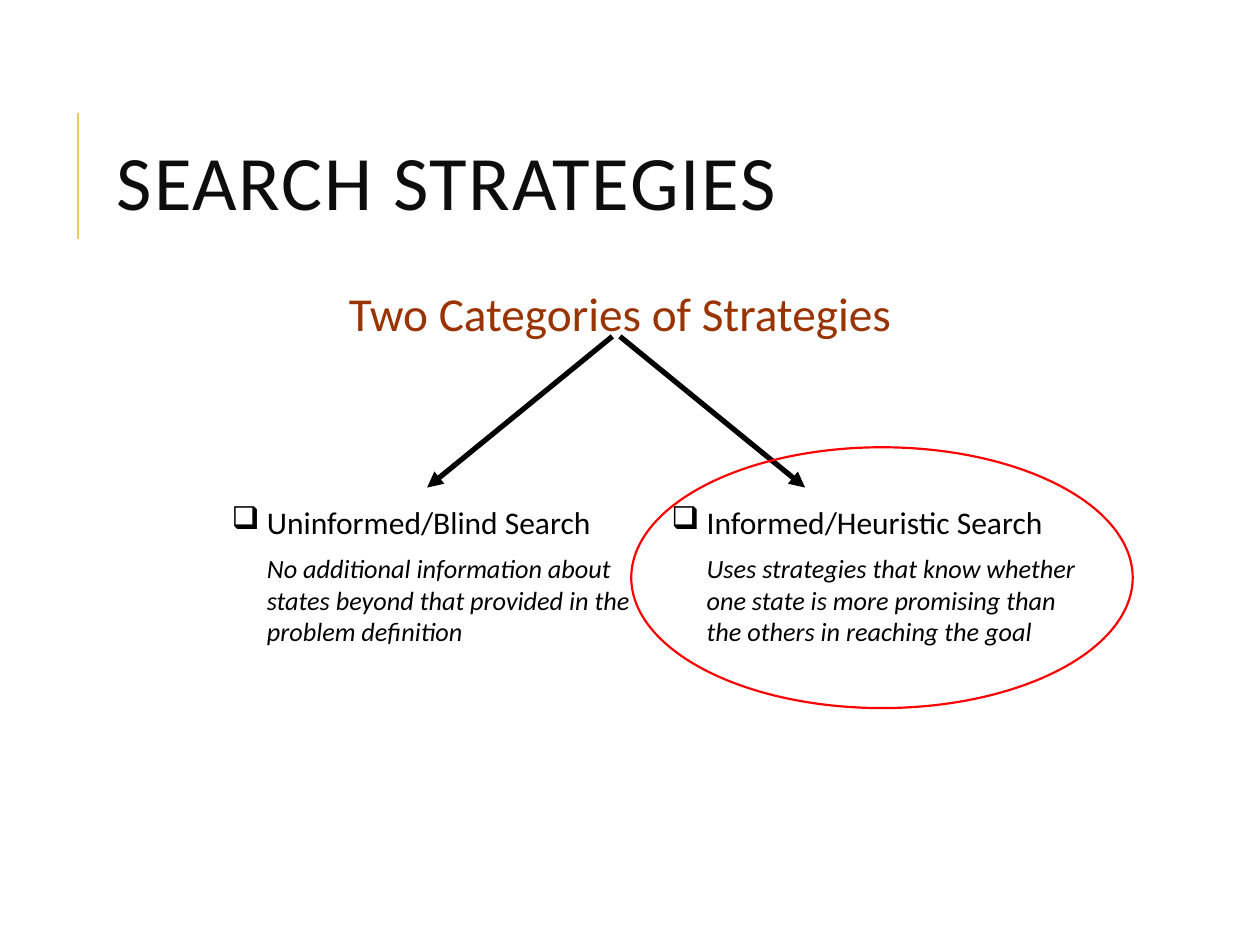
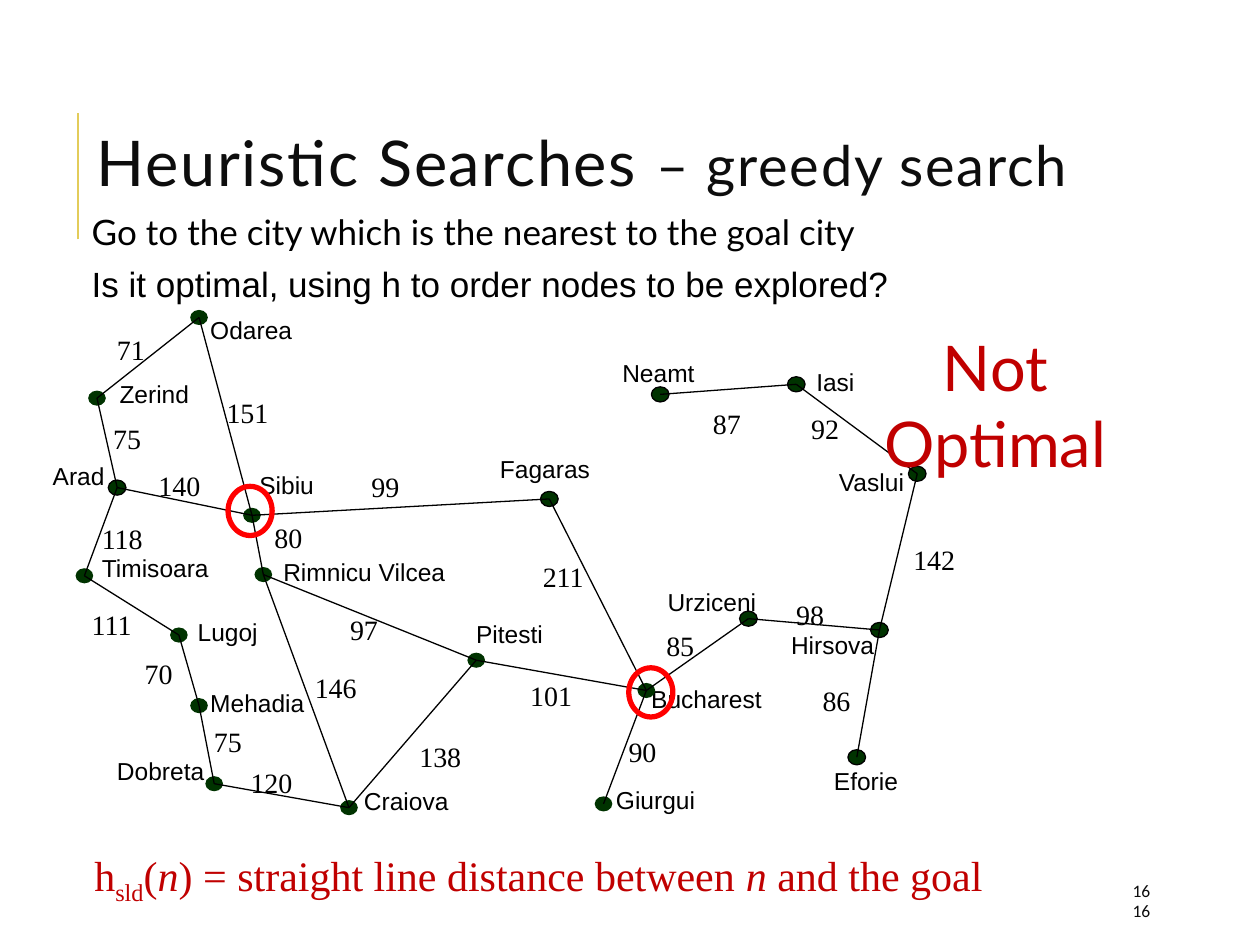
from lxml.etree import SubElement
from pptx import Presentation
from pptx.dml.color import RGBColor as Rgb
from pptx.enum.shapes import MSO_CONNECTOR as Wire, MSO_SHAPE as Form
from pptx.enum.text import MSO_ANCHOR as Anchor, PP_ALIGN as Align
from pptx.oxml.ns import qn
from pptx.util import Inches, Pt

# The grid has 100 columns and 75 rows, each cell a tenth of an inch.
COLS, ROWS, CELL = 100, 75, Inches(0.1)

HUES = {
    "gold": "E3CC5A", "title": "0D0D0D", "black": "000000", "white": "FFFFFF",
    "rust": "993300", "red": "FF0000", "deep": "C00000", "green": "003300",
}
TITLE = {"name": "Calibri", "size": Pt(44), "hue": "title", "spc": 100}
HEAD = {"name": "Calibri", "size": Pt(27), "hue": "rust"}
BODY = {"name": "Calibri", "size": Pt(18), "hue": "black"}
LATO = {"name": "Lato", "size": Pt(20), "hue": "black"}
CITY = {"name": "Arial", "size": Pt(14), "hue": "black"}
MILES = {"name": "Times New Roman", "size": Pt(16), "hue": "black"}
RULE = {"name": "Times New Roman", "size": Pt(24), "hue": "deep"}
PAGE = {"name": "Calibri", "size": Pt(10), "hue": "title"}
MIDDLE = {"vertical_anchor": Anchor.MIDDLE}
TIGHT = {"line_spacing": 0.8, "space_after": Pt(3)}


def write(slide, box, font, paras, fill=None, frame=None):
    """Add a text box; each paragraph is a format dict and (text, changes) runs."""
    shape = slide.shapes.add_textbox(*(round(n * CELL) for n in box))
    if fill:
        shape.fill.solid()
        shape.fill.fore_color.rgb = Rgb.from_string(HUES[fill])
    text = shape.text_frame
    for key, val in ({"word_wrap": True} | (frame or {})).items():
        setattr(text, key, val)
    for i, (form, runs) in enumerate(paras):
        para = text.paragraphs[0] if i == 0 else text.add_paragraph()
        props = para._p.get_or_add_pPr()
        for key, val in form.items():
            if key == "bullet":
                SubElement(props, qn("a:buChar")).set("char", val)
            elif key in ("marL", "indent"):
                props.set(key, str(round(val * CELL)))
            else:
                setattr(para, key, val)
        for words, change in runs:
            run = para.add_run()
            run.text = words
            for key, val in (font | change).items():
                if key == "hue":
                    run.font.color.rgb = Rgb.from_string(HUES[val])
                elif key in ("spc", "baseline"):
                    run._r.get_or_add_rPr().set(key, str(val))
                else:
                    setattr(run.font, key, val)


def draw(slide, kind, box, line=None, width=0.75, fill=None, tip=False):
    """Add a line (box holds its two ends) or an oval (box holds its frame)."""
    spots = [round(n * CELL) for n in box]
    if kind == "line":
        shape = slide.shapes.add_connector(Wire.STRAIGHT, *spots)
    else:
        shape = slide.shapes.add_shape(Form.OVAL, *spots)
        shape.shadow.inherit = False
        if fill:
            shape.fill.solid()
            shape.fill.fore_color.rgb = Rgb.from_string(HUES[fill])
        else:
            shape.fill.background()
    if line:
        shape.line.color.rgb = Rgb.from_string(HUES[line])
        shape.line.width = Pt(width)
    else:
        shape.line.fill.background()
    if tip:
        SubElement(shape.line._get_or_add_ln(), qn("a:tailEnd")).set("type", "triangle")
    if kind == "line":
        SubElement(shape._element.spPr, qn("a:effectLst"))


deck = Presentation()
deck.slide_width, deck.slide_height = COLS * CELL, ROWS * CELL
kinds, cities = [deck.slides.add_slide(deck.slide_layouts[6]) for _ in range(2)]
for slide in (kinds, cities):
    draw(slide, "line", (6.2, 19, 6.2, 9), "gold", 1.5)

# Slide 1: two kinds of search
write(kinds, (8.3, 8.8, 59.8, 12.3), TITLE,
      [(TIGHT, [("SEARCH STRATEGIES", {})])], frame=MIDDLE)
write(kinds, (26.5, 22.1, 45.4, 5.6), HEAD,
      [({"alignment": Align.CENTER}, [("Two Categories of Strategies", {})])],
      frame={"word_wrap": False})
MID = 48.9
for side in (-1, 1):
    draw(kinds, "line", (MID + side * 0.3, 26.7, MID + side * 15, 38.7),
         "black", 3, tip=True)
for left, wide, name, note in (
    (17.4, 33.7, "Uninformed/Blind Search",
     "No additional information about states beyond that provided in the problem definition"),
    (52.3, 35.5, "Informed/Heuristic Search",
     "Uses strategies that know whether one state is more promising than the others"
     " in reaching the goal"),
):
    write(kinds, (left, 39.4, wide, 12.9), BODY, [
        ({"marL": 2.8, "indent": -2.8, "bullet": "❑"}, [(name, {})]),
        ({"marL": 2.8, "indent": 0, "space_before": Pt(7)},
         [(note, {"size": Pt(15), "italic": True})]),
    ])
draw(kinds, "oval", (50.1, 35.5, 39.8, 20.7), "red", 1.25)

# Slide 2: road map
write(cities, (6.7, 5.2, 91.7, 16.4), TITLE | {"name": "Lato", "size": Pt(36)},
      [(TIGHT, [("Heuristic Searches ", {}), ("– greedy search", {"size": Pt(32)})])],
      frame=MIDDLE)
write(cities, (6.3, 16.2, 71.7, 8.6), LATO, [
    ({}, [("Go to the city which is the nearest to the goal city", {})]),
    ({"space_before": Pt(6)},
     [("Is it optimal, using h to order nodes to be explored?", {"name": "Arial"})]),
])

# City: label column, row and width; dot column and row; dot outline
TOWNS = {
    "Bucharest": (50.7, 53.8, 11.4, 50.6, 54.2, None),
    "Zerind": (8.5, 29.6, 9.9, 7, 31, None),
    "Arad": (3.2, 36.1, 7.8, 8.6, 38.1, "black"),
    "Timisoara": (7.1, 43.4, 12.8, 6, 45.1, None),
    "Lugoj": (14.7, 48.5, 12.8, 13.5, 49.8, None),
    "Mehadia": (15.7, 54.1, 12.8, 15.1, 55.4, None),
    "Dobreta": (8.3, 59.5, 12.8, 16.3, 61.6, None),
    "Craiova": (27.9, 61.9, 17.9, 27, 63.5, None),
    "Rimnicu Vilcea": (21.5, 43.7, 17.9, 20.2, 45, None),
    "Sibiu": (19.6, 36.8, 12.8, 19.3, 40.3, None),
    "Pitesti": (36.8, 48.6, 8.9, 37.1, 51.8, None),
    "Giurgui": (47.9, 61.8, 10.2, 47.2, 63.2, None),
    "Urziceni": (52, 46.1, 10.6, 58.7, 48.5, "black"),
    "Hirsova": (61.8, 49.5, 9.3, 69.1, 49.4, "black"),
    "Eforie": (65.2, 60.3, 8.9, 67.3, 59.5, "black"),
    "Vaslui": (65.6, 36.6, 8.9, 72.1, 37, "black"),
    "Iasi": (63.8, 28.6, 8.9, 62.5, 29.9, "black"),
    "Neamt": (48.4, 27.9, 8.9, 51.7, 30.7, "black"),
    "Odarea": (15.7, 24.5, 9.9, 15.1, 24.6, None),
    "Fagaras": (38.7, 35.5, 10.4, 42.9, 39, "black"),
}
# Road: two cities, distance, column and row of the distance
ROADS = (
    ("Odarea", "Zerind", 71, 8.3, 25.9),
    ("Zerind", "Arad", 75, 8, 33),
    ("Odarea", "Sibiu", 151, 17, 30.9),
    ("Arad", "Sibiu", 140, 11.6, 36.7),
    ("Arad", "Timisoara", 118, 7.1, 40.9),
    ("Timisoara", "Lugoj", 111, 6.3, 47.7),
    ("Lugoj", "Mehadia", 70, 10.5, 51.6),
    ("Mehadia", "Dobreta", 75, 16, 57),
    ("Dobreta", "Craiova", 120, 18.9, 60.3),
    ("Sibiu", "Rimnicu Vilcea", 80, 20.8, 40.8),
    ("Rimnicu Vilcea", "Craiova", 146, 24, 52.7),
    ("Rimnicu Vilcea", "Pitesti", 97, 26.8, 48.1),
    ("Pitesti", "Craiova", 138, 32.3, 58.2),
    ("Pitesti", "Bucharest", 101, 41.1, 53.4),
    ("Bucharest", "Giurgui", 90, 48.9, 57.8),
    ("Bucharest", "Urziceni", 85, 51.9, 49.4),
    ("Hirsova", "Eforie", 86, 64.3, 53.8),
    ("Hirsova", "Vaslui", 142, 71.5, 42.6),
    ("Vaslui", "Iasi", 92, 63.4, 32.2),
    ("Iasi", "Neamt", 87, 55.6, 31.8),
    ("Urziceni", "Hirsova", 98, 62.2, 46.9),
    ("Sibiu", "Fagaras", 99, 28.5, 36.8),
    ("Fagaras", "Bucharest", 211, 42.1, 43.9),
)
DOT = (1.4, 1.2)
for name, (left, top, wide, *_) in TOWNS.items():
    write(cities, (left, top, wide, 4.1), CITY, [({}, [(name, {})])], "white")
hubs = {}
for name, (*_, left, top, edge) in TOWNS.items():
    draw(cities, "oval", (left, top, *DOT), edge, fill="green")
    hubs[name] = (left + DOT[0] / 2, top + DOT[1] / 2)
for start, end, *_ in ROADS:
    draw(cities, "line", hubs[start] + hubs[end], "black")
for left, top in ((49.9, 53), (18.1, 38.6)):
    draw(cities, "oval", (left, top, 3.5, 3.9), "red", 3)

SLANT = {"italic": True}
write(cities, (6.5, 66.9, 75.9, 5), RULE, [({}, [
    ("h", {}), ("sld", {"baseline": -25000}), ("(", {}), ("n", SLANT),
    (") = straight line distance between ", {}), ("n", SLANT), (" and the goal", {}),
])], "white")
for *_, miles, left, top in ROADS:
    wide = 6.7 if miles > 99 else 5
    write(cities, (left, top, wide, 3.7), MILES, [({}, [(str(miles), {})])])
for top in (70.8, 69.2):
    write(cities, (88.9, top, 8, 3), PAGE, [({}, [("16", {})])], frame=MIDDLE)
write(cities, (65, 25.6, 28, 7.1), LATO | {"size": Pt(36), "hue": "deep"},
      [({"alignment": Align.CENTER}, [("Not Optimal", {})])])

deck.save("out.pptx")
